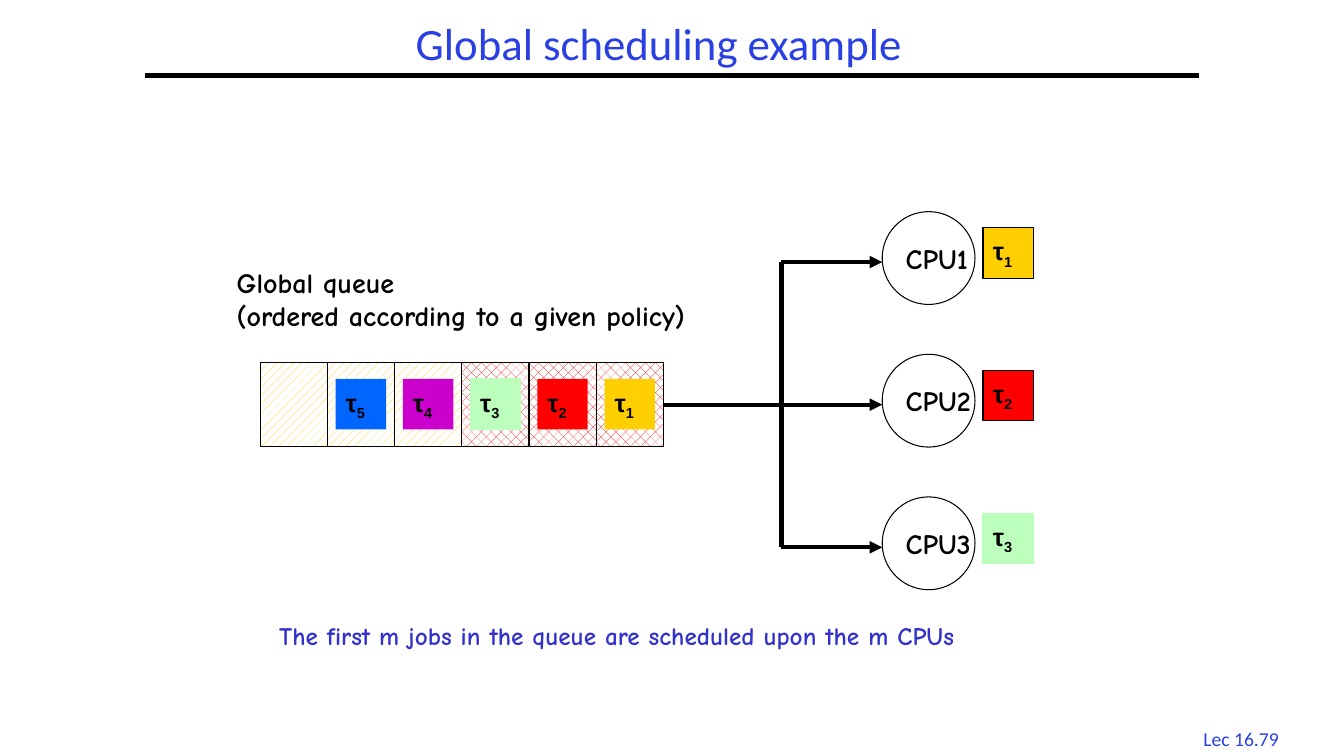
"""Build the global scheduling slide: one job queue feeding three CPUs."""
from lxml import etree
from pptx import Presentation
from pptx.dml.color import RGBColor
from pptx.enum.dml import MSO_PATTERN
from pptx.enum.shapes import MSO_CONNECTOR, MSO_SHAPE
from pptx.enum.text import MSO_ANCHOR, PP_ALIGN
from pptx.oxml.ns import qn
from pptx.util import Inches, Pt

RECT, OVAL = MSO_SHAPE.RECTANGLE, MSO_SHAPE.OVAL
STRAIGHT = MSO_CONNECTOR.STRAIGHT
LEFT, CENTER = PP_ALIGN.LEFT, PP_ALIGN.CENTER
TOP, MIDDLE = MSO_ANCHOR.TOP, MSO_ANCHOR.MIDDLE
DENSE, SPARSE = MSO_PATTERN.PERCENT_30, MSO_PATTERN.PERCENT_20
RIGHT_SIDE = 3

COLORS = {
    "black": "000000", "white": "FFFFFF", "title": "2A40E2", "note": "3333CC",
    "gold": "FFCF01", "red": "FF0000", "mint": "BCFFBC",
    "purple": "CC00CC", "blue": "0066FF",
}
JOBS = {1: "gold", 2: "red", 3: "mint", 4: "purple", 5: "blue"}
HEAD = {"name": "Calibri", "size": Pt(32)}
FOOT = {"name": "Calibri", "size": Pt(14)}
LABEL = {"name": "Comic Neue", "size": Pt(20), "bold": True}
NOTE = {"name": "Comic Neue", "size": Pt(18), "bold": True}
JOB = {"name": "Arial", "size": Pt(18), "bold": True}

SLOTS = 6
QUEUE_X, QUEUE_Y = 2.58, 3.6
SLOT_W, SLOT_H = 4 / SLOTS, 0.83
CHIP = 0.5
CPU_X, CPU_Y, CPU_D = 8.75, 2.1, 0.92
CPU_STEP = 1.415
CPUS = 3
BUS_X, BUS_Y = 7.75, 2.6


def rgb(name):
    """Return a named colour."""
    return RGBColor.from_string(COLORS[name])


def style(part, look, color):
    """Apply font values to a run."""
    for key, value in look.items():
        setattr(part.font, key, value)
    part.font.color.rgb = rgb(color)


def write(shape, lines, look, color="black", align=LEFT, anchor=MIDDLE, wrap=False):
    """Fill a shape with one paragraph for each line."""
    frame = shape.text_frame
    frame.word_wrap = wrap
    frame.vertical_anchor = anchor
    frame.text = "\n".join(lines)
    for para in frame.paragraphs:
        para.alignment = align
        style(para.runs[0], look, color)
    return frame


def add_text(slide, box, lines, look, color="black", **layout):
    """Add a text box."""
    shape = slide.shapes.add_textbox(*map(Inches, box))
    return write(shape, lines, look, color, **layout)


def add_box(slide, kind, box, line="black"):
    """Add a shape with a thin outline or none."""
    shape = slide.shapes.add_shape(kind, *map(Inches, box))
    shape.shadow.inherit = False
    if line:
        shape.line.color.rgb = rgb(line)
        shape.line.width = Pt(0.75)
    else:
        shape.line.fill.background()
    return shape


def add_slot(slide, x, pattern, color):
    """Add one hatched slot of the queue."""
    slot = add_box(slide, RECT, (x, QUEUE_Y, SLOT_W, SLOT_H))
    slot.fill.patterned()
    slot.fill.pattern = pattern
    slot.fill.fore_color.rgb = rgb(color)
    slot.fill.back_color.rgb = rgb("white")
    return slot


def add_job(slide, x, y, num, line=None):
    """Add a coloured job chip with its index as a subscript."""
    color = JOBS[num]
    chip = add_box(slide, RECT, (x, y, CHIP, CHIP), color if color == "mint" else line)
    chip.fill.solid()
    chip.fill.fore_color.rgb = rgb(color)
    frame = write(chip, ["τ"], JOB)
    index = frame.paragraphs[0].add_run()
    index.text = str(num)
    style(index, JOB, "black")
    index.font._element.set("baseline", "-25000")


def add_cpu(slide, num, y):
    """Add a CPU circle and the job it runs."""
    cpu = add_box(slide, OVAL, (CPU_X, y, CPU_D, CPU_D))
    cpu.fill.solid()
    cpu.fill.fore_color.rgb = rgb("white")
    write(cpu, [f"CPU{num}"], LABEL)
    add_job(slide, CPU_X + 1, y + 0.16, num, "black")


def add_line(slide, start, end, arrow=False):
    """Add a thick black line, with an arrowhead if asked."""
    link = slide.shapes.add_connector(STRAIGHT, *map(Inches, (*start, *end)))
    link.line.color.rgb = rgb("black")
    link.line.width = Pt(3)
    if arrow:
        stroke = link.line._get_or_add_ln()
        etree.SubElement(stroke, qn("a:tailEnd"), type="triangle")
    etree.SubElement(link._element.spPr, qn("a:effectLst"))
    return link


def add_queue(slide):
    """Add the queue and return its front slot."""
    for i in range(SLOTS):
        x = QUEUE_X + i * SLOT_W
        num = SLOTS - i
        hatch = (DENSE, "red") if num <= CPUS else (SPARSE, "gold")
        slot = add_slot(slide, x, *hatch)
        if num in JOBS:
            add_job(slide, x + (SLOT_W - CHIP) / 2, QUEUE_Y + 0.16, num)
    return slot


def main():
    """Build and save the slide."""
    deck = Presentation()
    deck.slide_width, deck.slide_height = Inches(13.33), Inches(7.5)
    slide = deck.slides.add_slide(deck.slide_layouts[6])

    add_text(slide, (11.77, 7.16, 1.08, 0.33), ["Lec 16.79"], FOOT, "title",
             align=CENTER, anchor=TOP)
    add_line(slide, (1.44, 0.75), (11.89, 0.75))
    title = add_text(slide, (2.58, -0.17, 7.91, 1.25), ["Global scheduling example"],
                     HEAD, "title", align=CENTER, wrap=True)
    title.paragraphs[0].line_spacing = 0.9

    add_text(slide, (2.25, 2.58, 4.73, 1.11),
             ["Global queue", "(ordered according to a given policy)"],
             LABEL, anchor=TOP, wrap=True)
    front = add_queue(slide)
    for i in range(CPUS):
        add_cpu(slide, i + 1, CPU_Y + i * CPU_STEP)
        y = BUS_Y + i * CPU_STEP
        link = add_line(slide, (BUS_X, y), (CPU_X, y), arrow=True)
        if i == CPUS // 2:
            link.begin_connect(front, RIGHT_SIDE)
    add_line(slide, (BUS_X, BUS_Y), (BUS_X, BUS_Y + (CPUS - 1) * CPU_STEP))
    add_text(slide, (2.67, 6.1, 8, 0.4),
             ["The first m jobs in the queue are scheduled upon the m CPUs"],
             NOTE, "note", anchor=TOP, wrap=True)
    deck.save("out.pptx")


if __name__ == "__main__":
    main()
